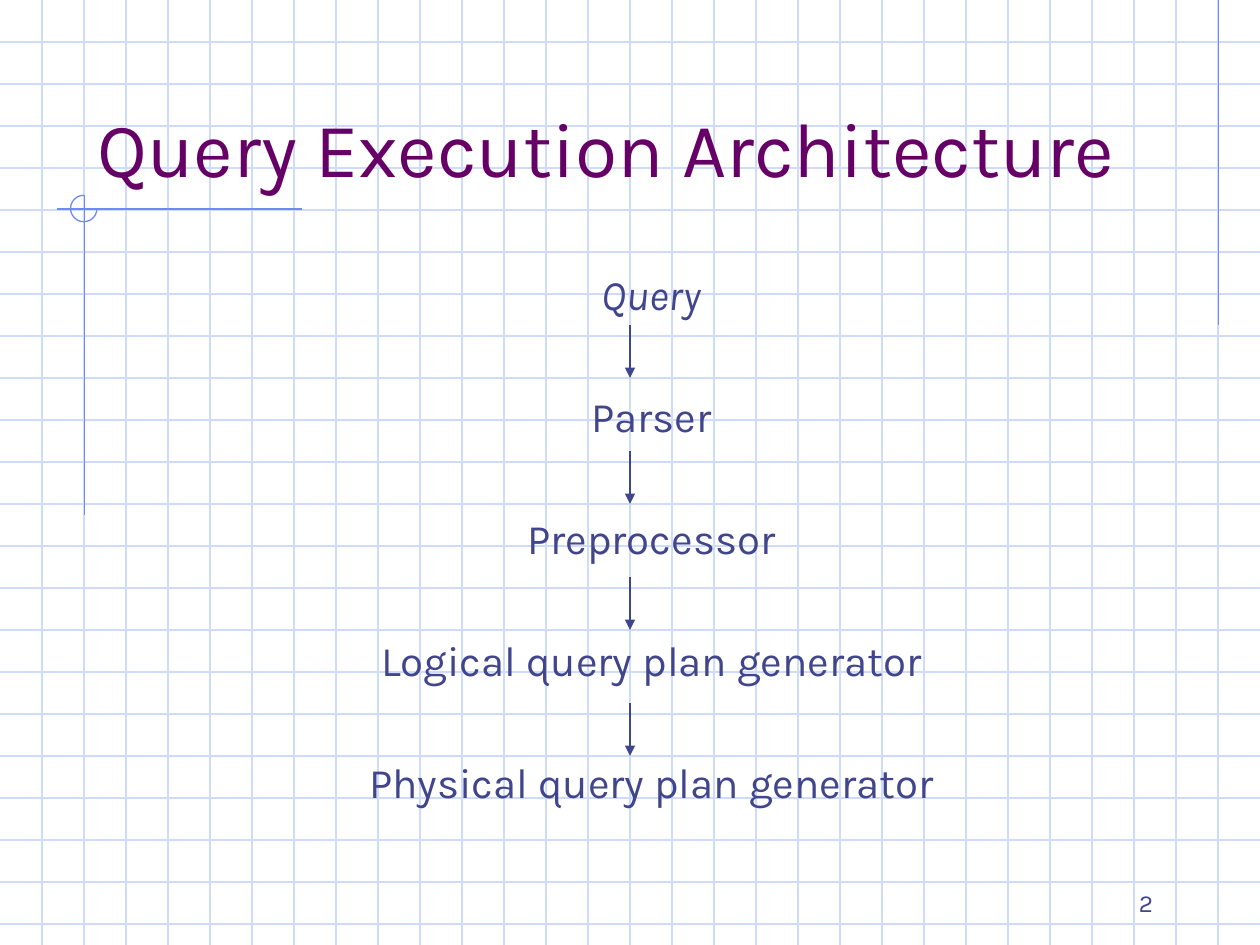
from lxml import etree
from pptx import Presentation
from pptx.dml.color import RGBColor
from pptx.enum.shapes import MSO_CONNECTOR, MSO_SHAPE
from pptx.enum.text import MSO_ANCHOR, MSO_AUTO_SIZE, PP_ALIGN
from pptx.oxml.ns import qn
from pptx.util import Inches, Pt

STRAIGHT = MSO_CONNECTOR.STRAIGHT
ARC = MSO_SHAPE.ARC
TOP, BOTTOM = MSO_ANCHOR.TOP, MSO_ANCHOR.BOTTOM
LEFT, CENTER, RIGHT = PP_ALIGN.LEFT, PP_ALIGN.CENTER, PP_ALIGN.RIGHT
NO_FIT = MSO_AUTO_SIZE.NONE

# Content
TITLE = "Query Execution Architecture"
STAGES = ["Query", "Parser", "Preprocessor",
          "Logical query plan generator", "Physical query plan generator"]
PAGE_NUMBER = "2"

# Look
FONT = "Karla"
GRID, ACCENT, INK, PLUM = "CFDBFD", "6F89F7", "40458C", "660066"
LINE_WIDTH = Pt(0.74)
WIDTH, HEIGHT = 10, 7.5
CELLS_PER_INCH = 3
ACCENT_LINES = [(9.67, 0, 9.67, 2.58), (2.4, 1.66, 0.45, 1.66), (0.67, 1.55, 0.67, 4.09)]
ARROW_X, ARROW_TOP, ARROW_LENGTH, ARROW_PITCH = 5, 2.58, 0.42, 1
STAGE_GAP = Pt(41)

deck = Presentation()
deck.slide_width, deck.slide_height = Inches(WIDTH), Inches(HEIGHT)
slide = deck.slides.add_slide(deck.slide_layouts[5])


def rgb(value):
    return RGBColor.from_string(value)


def add_line(x1, y1, x2, y2, color, arrow=False):
    line = slide.shapes.add_connector(
        STRAIGHT, Inches(x1), Inches(y1), Inches(x2), Inches(y2))
    line.line.color.rgb = rgb(color)
    line.line.width = LINE_WIDTH
    if arrow:
        etree.SubElement(line.line._get_or_add_ln(), qn("a:tailEnd"), type="triangle")
    etree.SubElement(line._element.spPr, qn("a:effectLst"))


def write(box, paragraphs, size, color, align, anchor):
    frame = box.text_frame
    frame.text = "\n".join(paragraphs)
    frame.word_wrap = True
    frame.auto_size = NO_FIT
    frame.vertical_anchor = anchor
    for paragraph in frame.paragraphs:
        paragraph.alignment = align
        font = paragraph.runs[0].font
        font.name, font.size, font.color.rgb = FONT, Pt(size), rgb(color)
    return frame.paragraphs


def add_text(left, top, width, height, *style):
    box = slide.shapes.add_textbox(
        Inches(left), Inches(top), Inches(width), Inches(height))
    return write(box, *style)


# Graph paper
for row in range(1, int(HEIGHT * CELLS_PER_INCH) + 1):
    add_line(0, row / CELLS_PER_INCH, WIDTH, row / CELLS_PER_INCH, GRID)
for column in range(1, WIDTH * CELLS_PER_INCH):
    add_line(column / CELLS_PER_INCH, 0, column / CELLS_PER_INCH, HEIGHT, GRID)

# Accent lines and three-quarter circle
for ends in ACCENT_LINES:
    add_line(*ends, ACCENT)
corner = slide.shapes.add_shape(ARC, Inches(0.56), Inches(1.55), Inches(0.21), Inches(0.21))
corner.adjustments[0] = 0
corner.adjustments[1] = 162  # 270 degrees
corner.fill.background()
corner.line.color.rgb = rgb(ACCENT)
corner.line.width = LINE_WIDTH
corner.shadow.inherit = False

# Page number
add_text(7.17, 6.83, 2.08, 0.5, [PAGE_NUMBER], 14, INK, RIGHT, BOTTOM)

# Title, raised above the grid
title = slide.shapes.title
title.left, title.top = Inches(0.67), Inches(0.33)
title.width, title.height = Inches(8.5), Inches(1.25)
write(title, [TITLE], 44, PLUM, LEFT, BOTTOM)
slide.shapes._spTree.append(title._element)

# Stages, with an arrow between each pair
stages = add_text(0.92, 2.08, 8.5, 4.5, STAGES, 24, INK, CENTER, TOP)
stages[0].runs[0].font.italic = True
for stage in stages[1:]:
    stage.space_before = STAGE_GAP
for step in range(len(STAGES) - 1):
    top = ARROW_TOP + step * ARROW_PITCH
    add_line(ARROW_X, top, ARROW_X, top + ARROW_LENGTH, INK, arrow=True)

deck.save("out.pptx")
